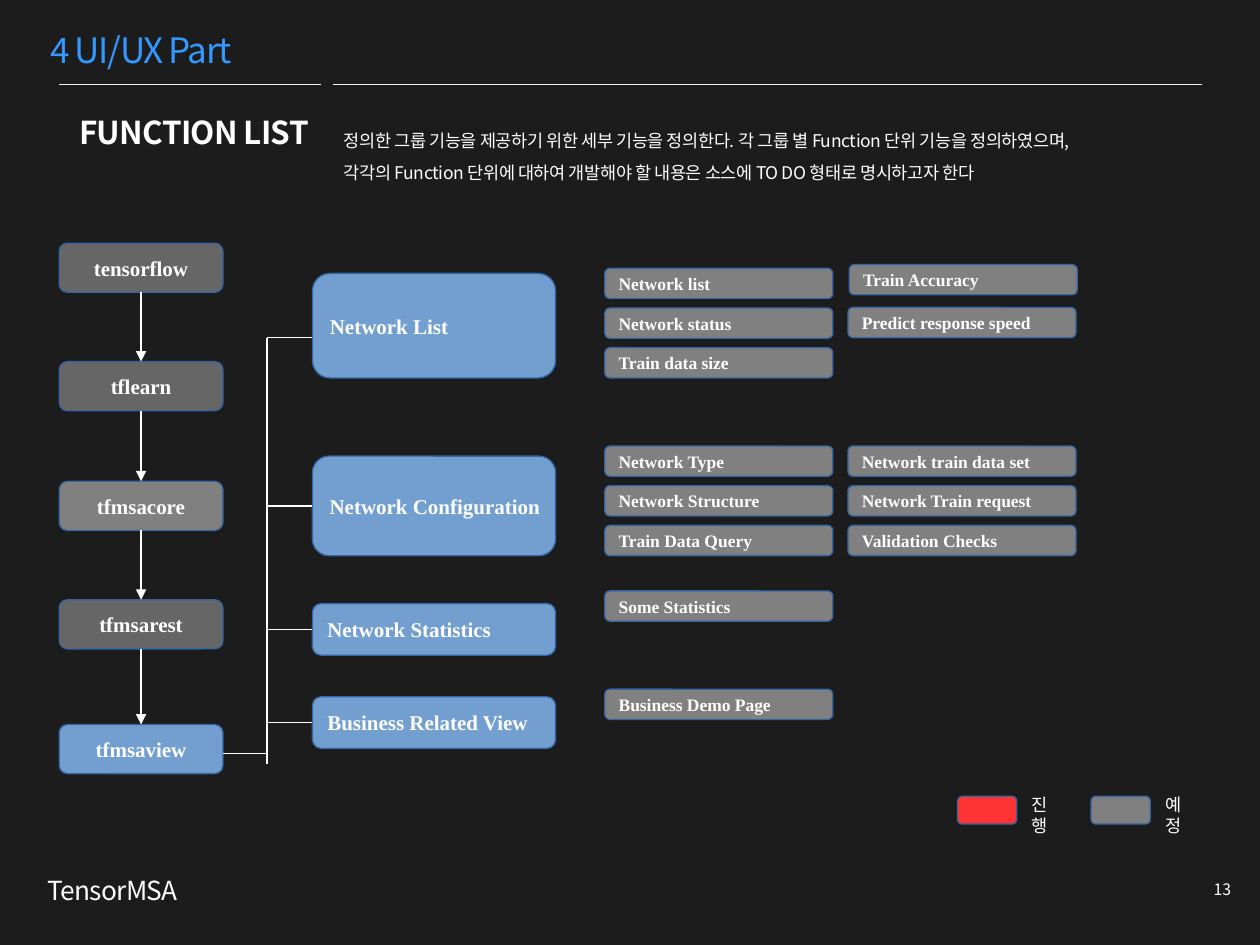
from lxml.etree import SubElement
from pptx import Presentation
from pptx.dml.color import RGBColor
from pptx.enum.shapes import MSO_CONNECTOR as Connector, MSO_SHAPE as Shape
from pptx.enum.text import MSO_ANCHOR as Anchor, PP_ALIGN as Align
from pptx.oxml.ns import qn
from pptx.util import Inches, Pt

BACKGROUND = RGBColor(0x1C, 0x1C, 0x1C)
WHITE = RGBColor(0xFF, 0xFF, 0xFF)
RULE = RGBColor(0xF2, 0xF2, 0xF2)
TITLE_BLUE = RGBColor(0x33, 0x99, 0xFF)
DARK_GRAY = RGBColor(0x66, 0x66, 0x66)
GRAY = RGBColor(0x80, 0x80, 0x80)
BLUE = RGBColor(0x72, 0x9F, 0xCF)
RED = RGBColor(0xFF, 0x33, 0x33)
OUTLINE = RGBColor(0x34, 0x65, 0xA4)
SANS = "Noto Sans CJK KR"
SERIF = "Times New Roman"

LAYERS = [
    ("tensorflow", 1.93, DARK_GRAY),
    ("tflearn", 2.87, DARK_GRAY),
    ("tfmsacore", 3.82, GRAY),
    ("tfmsarest", 4.76, DARK_GRAY),
    ("tfmsaview", 5.75, BLUE),
]
GROUPS = [
    ("Network List", 2.17, 0.83),
    ("Network Configuration", 3.62, 0.79),
    ("Network Statistics", 4.79, 0.41),
    ("Business Related View", 5.53, 0.41),
]
# Left edge, top edge and labels of each stack of functions
FUNCTIONS = [
    (4.8, 2.13, ["Network list", "Network status", "Train data size"]),
    (6.74, 2.1, ["Train Accuracy"]),
    (6.73, 2.44, ["Predict response speed"]),
    (4.8, 3.54, ["Network Type", "Network Structure", "Train Data Query"]),
    (6.73, 3.54, ["Network train data set", "Network Train request", "Validation Checks"]),
    (4.8, 4.69, ["Some Statistics"]),
    (4.8, 5.47, ["Business Demo Page"]),
]
FUNCTION_PITCH = 0.315
TRUNK_X = 2.12
GROUP_X = 2.48
FIRST_BRANCH_Y = 2.68
VIEW_BRANCH_Y = 5.98


def write(paragraph, text, size, font=SERIF, color=WHITE, bold=False, spacing=0):
    run = paragraph.add_run()
    run.text = text
    run.font.size = Pt(size)
    run.font.name = font
    run.font.bold = bold
    run.font.color.rgb = color
    if font == SANS:
        SubElement(run.font._element, qn("a:ea"), typeface=font)
    if spacing:
        run.font._element.set("spc", str(round(spacing * 100)))


def add_text(slide, box, lines, size, align=Align.LEFT, line_spacing=None,
             inset=True, wrap=True, **style):
    frame = slide.shapes.add_textbox(*map(Inches, box)).text_frame
    frame.word_wrap = wrap
    if not inset:
        frame.margin_left = frame.margin_right = 0
        frame.margin_top = frame.margin_bottom = 0
        frame.vertical_anchor = Anchor.MIDDLE
    for index, line in enumerate(lines):
        paragraph = frame.add_paragraph() if index else frame.paragraphs[0]
        paragraph.alignment = align
        if line_spacing:
            paragraph.line_spacing = line_spacing
        write(paragraph, line, size, **style)


def add_box(slide, box, fill, label="", size=12, align=Align.LEFT):
    shape = slide.shapes.add_shape(Shape.ROUNDED_RECTANGLE, *map(Inches, box))
    shape.shadow.inherit = False
    shape.fill.solid()
    shape.fill.fore_color.rgb = fill
    shape.line.color.rgb = OUTLINE
    shape.line.width = Pt(0.75)
    if label:
        frame = shape.text_frame
        frame.word_wrap = False
        frame.vertical_anchor = Anchor.MIDDLE
        frame.paragraphs[0].alignment = align
        write(frame.paragraphs[0], label, size, bold=True)
    return shape


def add_line(slide, x1, y1, x2, y2, color=WHITE, width=0.75):
    line = slide.shapes.add_connector(Connector.STRAIGHT, *map(Inches, (x1, y1, x2, y2)))
    line.line.color.rgb = color
    line.line.width = Pt(width)
    SubElement(line._element.spPr, qn("a:effectLst"))
    return line


def add_arrow(slide, upper, lower):
    arrow = add_line(slide, 0, 0, 0, 0)
    arrow.begin_connect(upper, 2)
    arrow.end_connect(lower, 0)
    SubElement(arrow.line._get_or_add_ln(), qn("a:tailEnd"), type="triangle")


def add_header(slide):
    add_line(slide, 0.47, 0.67, 2.55, 0.67, RULE, 0.25)
    add_line(slide, 2.64, 0.67, 9.54, 0.67, RULE, 0.25)
    add_text(slide, (0.4, 0.23, 2.51, 0.32), ["4 UI/UX Part"], 20, inset=False,
             font=SANS, color=TITLE_BLUE, spacing=-0.8)
    add_text(slide, (0.35, 0.85, 2.2, 1.61), ["FUNCTION LIST"], 18, Align.RIGHT,
             font=SANS, bold=True, spacing=-0.4)
    add_text(slide, (2.63, 0.9, 6.82, 1.01), [
        "정의한 그룹 기능을 제공하기 위한 세부 기능을 정의한다. 각 그룹 별 Function 단위 기능을 정의하였으며,",
        "각각의 Function 단위에 대하여 개발해야 할 내용은 소스에 TO DO 형태로 명시하고자 한다",
    ], 10, line_spacing=1.5, font=SANS, spacing=-0.2)


def add_layers(slide):
    boxes = [add_box(slide, (0.47, top, 1.3, 0.39), fill, name, align=Align.CENTER)
             for name, top, fill in LAYERS]
    for upper, lower in zip(boxes, boxes[1:]):
        add_arrow(slide, upper, lower)


def add_groups(slide):
    """Group boxes hang on a trunk that starts from the view layer."""
    add_line(slide, TRUNK_X, FIRST_BRANCH_Y, TRUNK_X, 6.06)
    add_line(slide, TRUNK_X, VIEW_BRANCH_Y, 1.77, VIEW_BRANCH_Y)
    for index, (name, top, height) in enumerate(GROUPS):
        group = add_box(slide, (GROUP_X, top, 1.93, height), BLUE, name)
        branch_y = top + height / 2 if index else FIRST_BRANCH_Y
        branch = add_line(slide, GROUP_X, branch_y, TRUNK_X, branch_y)
        if index:
            branch.begin_connect(group, 1)


def add_functions(slide):
    for left, top, names in FUNCTIONS:
        for row, name in enumerate(names):
            add_box(slide, (left, top + row * FUNCTION_PITCH, 1.81, 0.24), GRAY, name, 10)


def add_legend(slide):
    for left, fill, state in [(7.6, RED, "진행"), (8.66, GRAY, "예정")]:
        add_box(slide, (left, 6.32, 0.47, 0.22), fill)
        add_text(slide, (left + 0.49, 6.25, 0.45, 0.31), [state], 10)


def add_footer(slide):
    add_text(slide, (0.28, 6.89, 1.29, 0.41), ["TensorMSA"], 15, font=SANS, spacing=-0.4)
    add_text(slide, (9.3, 6.93, 0.57, 0.25), ["13"], 9, Align.RIGHT, wrap=False, font=SANS)


def main():
    deck = Presentation()
    deck.slide_width, deck.slide_height = Inches(10), Inches(7.5)
    slide = deck.slides.add_slide(deck.slide_layouts[6])
    slide.background.fill.solid()
    slide.background.fill.fore_color.rgb = BACKGROUND
    add_header(slide)
    add_layers(slide)
    add_groups(slide)
    add_functions(slide)
    add_legend(slide)
    add_footer(slide)
    deck.save("out.pptx")


if __name__ == "__main__":
    main()
